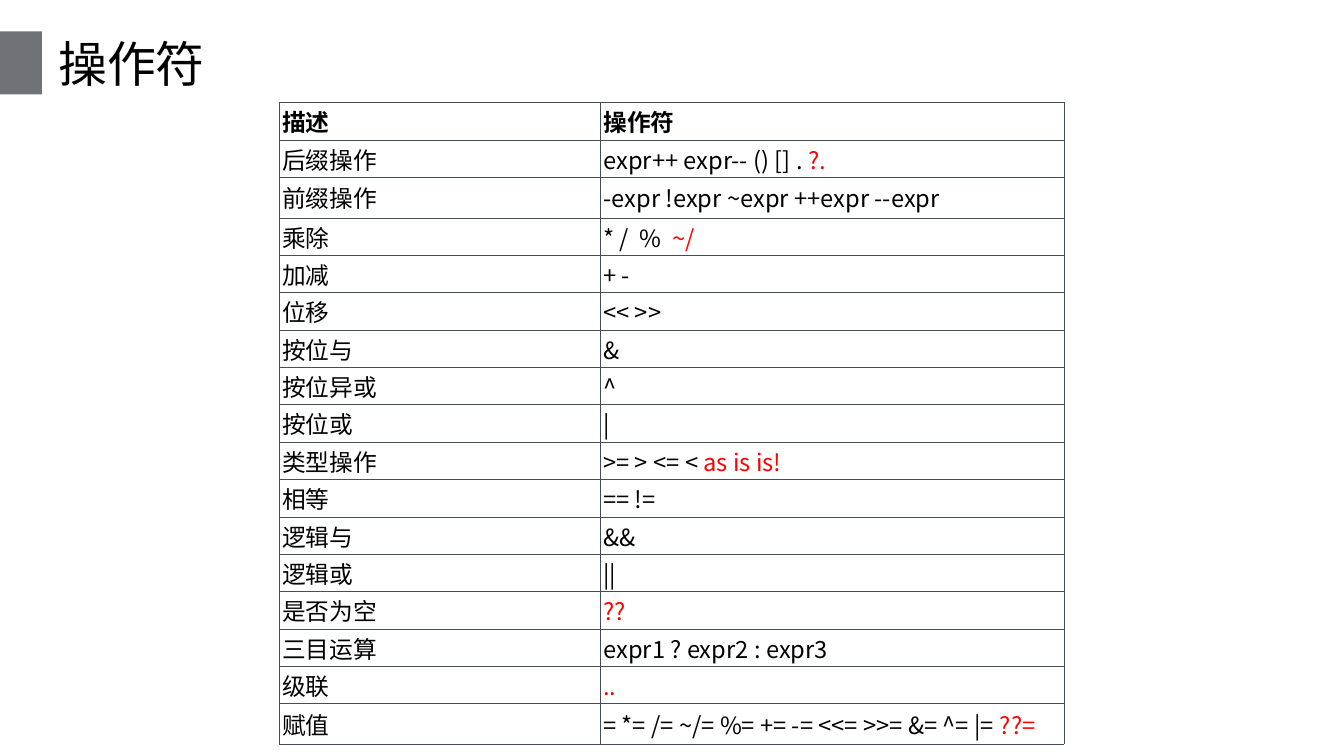
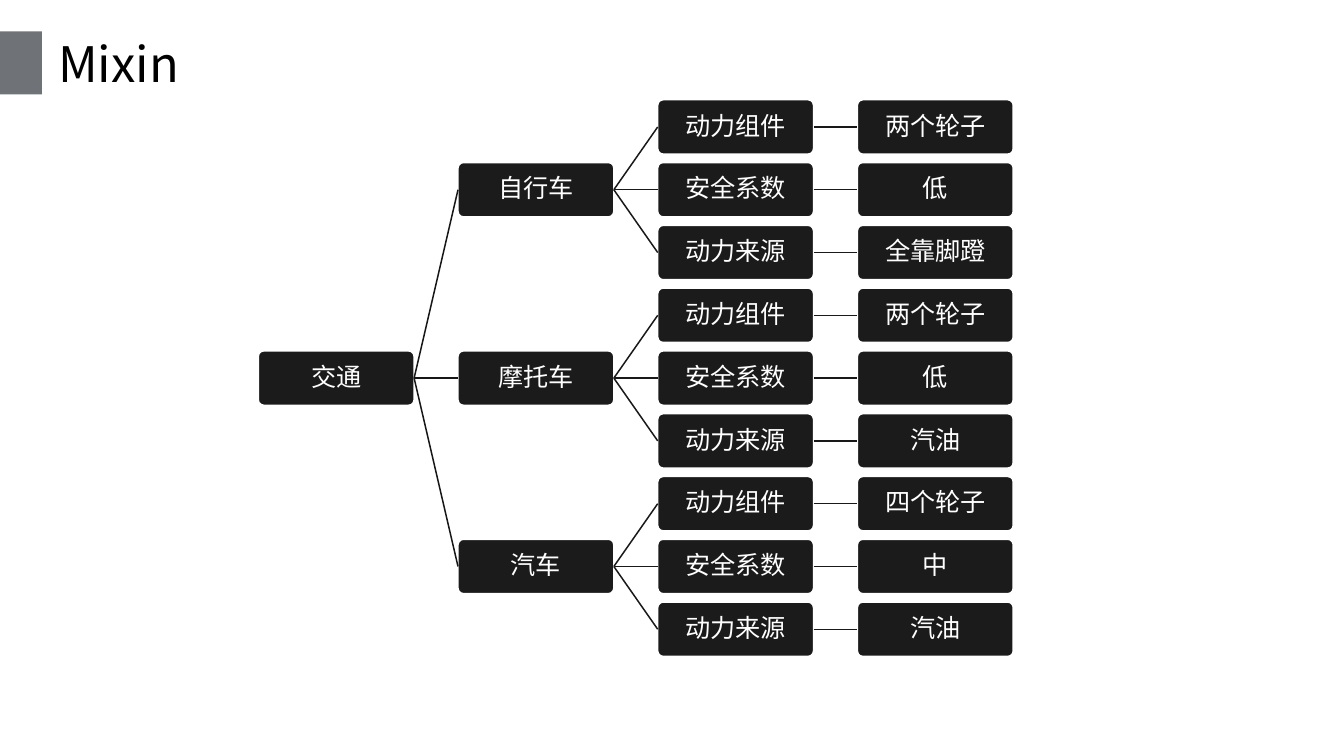
from lxml import etree
from pptx import Presentation
from pptx.dml.color import RGBColor
from pptx.enum.shapes import MSO_CONNECTOR, MSO_SHAPE
from pptx.enum.text import MSO_ANCHOR, PP_ALIGN
from pptx.oxml.ns import qn
from pptx.util import Cm, Pt

RECT, ROUND = MSO_SHAPE.RECTANGLE, MSO_SHAPE.ROUNDED_RECTANGLE
LINE = MSO_CONNECTOR.STRAIGHT
MIDDLE = MSO_ANCHOR.MIDDLE
LEFT, CENTER = PP_ALIGN.LEFT, PP_ALIGN.CENTER


class Theme:
    ink, red, white = "000000", "FF0000", "FFFFFF"
    band, grid, box = "6F7378", "474D54", "1B1B1B"
    trunk, twig = "161616", "191919"
    title, cell, node = 66, 32, 34
    font, latin = "Noto Sans CJK SC", "Calibri"


def rgb(code):
    return RGBColor.from_string(code)


def put(frame, text, size, tail="", color=Theme.ink, bold=False,
        font=Theme.font, align=LEFT, space=1.0):
    """Write text in one paragraph, followed by an optional red tail."""
    para = frame.paragraphs[0]
    para.alignment = align
    para.line_spacing = space
    for part, shade in ((text, color), (tail, Theme.red)):
        if part:
            run = para.add_run()
            run.text = part
            run.font.size = Pt(size)
            run.font.bold = bold
            run.font.name = font
            run.font.color.rgb = rgb(shade)
            etree.SubElement(run.font._element, qn("a:ea"), typeface=Theme.font)


deck = Presentation()
deck.slide_width, deck.slide_height = Cm(64), Cm(36)

# Slides with their shared band and title
slides = []
for name in ("操作符", "Mixin"):
    slide = deck.slides.add_slide(deck.slide_layouts[6])
    band = slide.shapes.add_shape(RECT, 0, Cm(1.5), Cm(2), Cm(3))
    band.shadow.inherit = False
    band.fill.solid()
    band.fill.fore_color.rgb = rgb(Theme.band)
    band.line.fill.background()
    frame = slide.shapes.add_textbox(Cm(2), Cm(1.45), Cm(60), Cm(3.05)).text_frame
    frame.word_wrap = True
    frame.vertical_anchor = MIDDLE
    frame.margin_left = Cm(0.77)
    put(frame, name, Theme.title)
    slides.append(slide)
first, second = slides

# Operator table: description, operators, operators in red
rows = [
    ("描述", "操作符", ""),
    ("后缀操作", "expr++ expr-- () [] . ", "?."),
    ("前缀操作", "-expr !expr ~expr ++expr --expr", ""),
    ("乘除", "* /  %  ", "~/"),
    ("加减", "+ -", ""),
    ("位移", "<< >>", ""),
    ("按位与", "&", ""),
    ("按位异或", "^", ""),
    ("按位或", "|", ""),
    ("类型操作", ">= > <= < ", "as is is!"),
    ("相等", "== !=", ""),
    ("逻辑与", "&&", ""),
    ("逻辑或", "||", ""),
    ("是否为空", "", "??"),
    ("三目运算", "expr1 ? expr2 : expr3", ""),
    ("级联", "", ".."),
    ("赋值", "= *= /= ~/= %= += -= <<= >>= &= ^= |= ", "??="),
]
tall = {2: 1.93, 16: 1.93}
table = first.shapes.add_table(len(rows), 2, Cm(13.31), Cm(4.88),
                               Cm(37.36), Cm(30.56)).table
table.first_row = table.horz_banding = False
table.columns[0].width, table.columns[1].width = Cm(15.29), Cm(22.07)
for r, (label, ops, tail) in enumerate(rows):
    table.rows[r].height = Cm(tall.get(r, 1.78))
    for c, (text, end) in enumerate(((label, ""), (ops, tail))):
        cell = table.cell(r, c)
        cell.vertical_anchor = MIDDLE
        cell.margin_left = cell.margin_right = Cm(0.13)
        cell.margin_top = cell.margin_bottom = Cm(0.08)
        put(cell.text_frame, text, Theme.cell, tail=end, bold=r == 0)
        props = cell._tc.get_or_add_tcPr()
        for side in ("lnL", "lnR", "lnT", "lnB"):
            edge = etree.SubElement(props, qn("a:" + side), w=str(Pt(0.75)))
            fill = etree.SubElement(edge, qn("a:solidFill"))
            etree.SubElement(fill, qn("a:srgbClr"), val=Theme.grid)
        cell.fill.background()

# Tree plan: column, row, text, index of the parent node
traits = ("动力组件", "安全系数", "动力来源")
kinds = [
    ("自行车", ("两个轮子", "低", "全靠脚蹬")),
    ("摩托车", ("两个轮子", "低", "汽油")),
    ("汽车", ("四个轮子", "中", "汽油")),
]
plan = [(0, 4, "交通", None)]
for k, (kind, values) in enumerate(kinds):
    stem = len(plan)
    plan.append((1, 3 * k + 1, kind, 0))
    for t, (trait, value) in enumerate(zip(traits, values)):
        plan.append((2, 3 * k + t, trait, stem))
        plan.append((3, 3 * k + t, value, len(plan) - 1))

# Tree nodes, each joined to its parent
nodes = []
for col, row, text, parent in plan:
    node = second.shapes.add_shape(ROUND, Cm(12.3 + 9.51 * col),
                                   Cm(4.75 + 2.99 * row), Cm(7.42), Cm(2.59))
    node.adjustments[0] = 0.1
    node.shadow.inherit = False
    node.fill.solid()
    node.fill.fore_color.rgb = rgb(Theme.box)
    node.line.color.rgb = rgb(Theme.white)
    node.line.width = Pt(2)
    frame = node.text_frame
    frame.word_wrap = True
    frame.vertical_anchor = MIDDLE
    frame.margin_left = frame.margin_right = Cm(0.13)
    frame.margin_top = frame.margin_bottom = Cm(0.13)
    put(frame, text, Theme.node, color=Theme.white, font=Theme.latin,
        align=CENTER, space=0.9)
    nodes.append(node)
    if parent is not None:
        link = second.shapes.add_connector(LINE, 0, 0, 0, 0)
        link.begin_connect(nodes[parent], 3)
        link.end_connect(node, 1)
        link.line.color.rgb = rgb(Theme.trunk if col == 1 else Theme.twig)
        link.line.width = Pt(2)
        etree.SubElement(link._element.spPr, qn("a:effectLst"))

deck.save("out.pptx")
